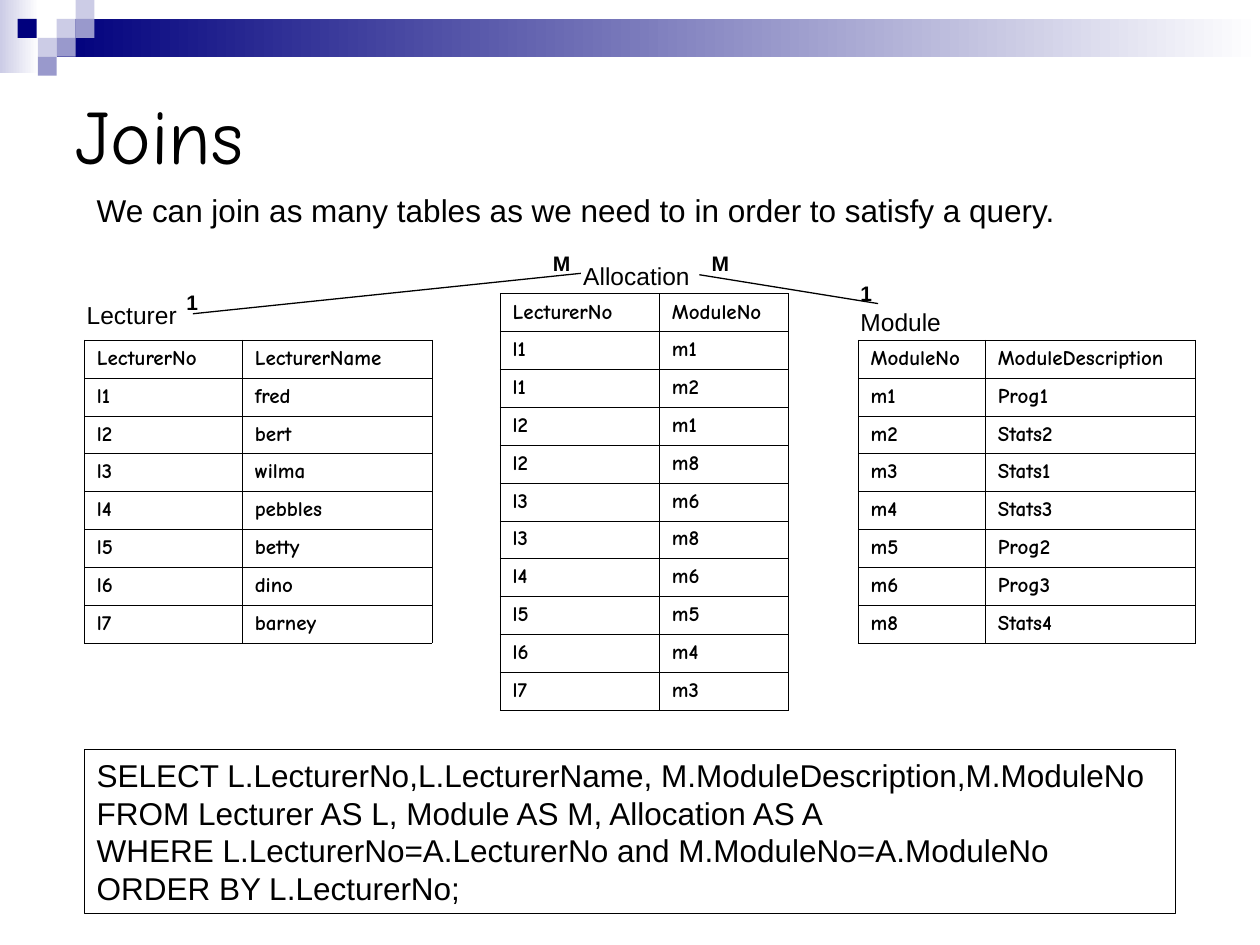
from lxml.etree import SubElement
from pptx import Presentation
from pptx.dml.color import RGBColor
from pptx.enum.shapes import MSO_CONNECTOR, MSO_SHAPE
from pptx.enum.text import MSO_ANCHOR
from pptx.oxml import parse_xml
from pptx.oxml.ns import nsdecls, qn
from pptx.util import Pt

BLACK = RGBColor(0x00, 0x00, 0x00)
WHITE = RGBColor(0xFF, 0xFF, 0xFF)
NAVY = RGBColor(0x00, 0x00, 0x7D)
LAVENDER = RGBColor(0xCC, 0xCC, 0xE6)
PERIWINKLE = RGBColor(0x99, 0x99, 0xCC)


class SlideBuilder:
    body_font = "Arial"
    hand_font = "Comic Neue"
    rule = 0.75
    grid_rule = 0.34
    row_height = 21.6

    def __init__(self, slide):
        self.slide = slide

    def add_lines(self, frame, lines, size, font, bold=False):
        for number, line in enumerate(lines):
            paragraph = frame.paragraphs[0] if number == 0 else frame.add_paragraph()
            run = paragraph.add_run()
            run.text = line
            run.font.size = Pt(size)
            run.font.name = font
            run.font.bold = bold
            run.font.color.rgb = BLACK

    def rectangle(self, left, top, width, height):
        block = self.slide.shapes.add_shape(
            MSO_SHAPE.RECTANGLE, Pt(left), Pt(top), Pt(width), Pt(height))
        block.shadow.inherit = False
        block.line.fill.background()
        return block

    def square(self, left, top, color):
        block = self.rectangle(left, top, 10.8, 10.8)
        block.fill.solid()
        block.fill.fore_color.rgb = color

    def fade(self, left, top, width, height, color):
        block = self.rectangle(left, top, width, height)
        block.fill.gradient()
        block.fill.gradient_angle = 0
        for stop, shade in zip(block.fill.gradient_stops, (color, WHITE)):
            stop.color.rgb = shade

    def text(self, left, top, width, height, line, size, font=body_font,
             bold=False, anchor=MSO_ANCHOR.TOP):
        box = self.slide.shapes.add_textbox(Pt(left), Pt(top), Pt(width), Pt(height))
        box.text_frame.word_wrap = True
        box.text_frame.vertical_anchor = anchor
        self.add_lines(box.text_frame, [line], size, font, bold)

    def query(self, left, top, width, height, lines):
        box = self.slide.shapes.add_textbox(Pt(left), Pt(top), Pt(width), Pt(height))
        box.line.color.rgb = BLACK
        box.line.width = Pt(self.rule)
        box.text_frame.word_wrap = True
        self.add_lines(box.text_frame, lines, 18, self.body_font)

    def line(self, x1, y1, x2, y2):
        link = self.slide.shapes.add_connector(
            MSO_CONNECTOR.STRAIGHT, Pt(x1), Pt(y1), Pt(x2), Pt(y2))
        link.line.color.rgb = BLACK
        link.line.width = Pt(self.rule)
        SubElement(link._element.spPr, qn("a:effectLst"))

    def border(self, cell):
        properties = cell._tc.get_or_add_tcPr()
        for position, side in enumerate(("lnL", "lnR", "lnT", "lnB")):
            properties.insert(position, parse_xml(
                f'<a:{side} {nsdecls("a")} w="{Pt(self.grid_rule)}"><a:solidFill>'
                f'<a:srgbClr val="{BLACK}"/></a:solidFill></a:{side}>'))

    def table(self, left, top, widths, rows):
        grid = self.slide.shapes.add_table(
            len(rows), len(widths), Pt(left), Pt(top),
            Pt(sum(widths)), Pt(self.row_height * len(rows))).table
        grid.first_row = grid.horz_banding = False
        for column, width in zip(grid.columns, widths):
            column.width = Pt(width)
        for r, values in enumerate(rows):
            grid.rows[r].height = Pt(self.row_height)
            for c, value in enumerate(values):
                cell = grid.cell(r, c)
                cell.fill.background()
                cell.vertical_anchor = MSO_ANCHOR.TOP if r else MSO_ANCHOR.MIDDLE
                self.add_lines(cell.text_frame, [value], 12, self.hand_font, True)
                self.border(cell)


LECTURERS = [
    ("LecturerNo", "LecturerName"), ("l1", "fred"), ("l2", "bert"),
    ("l3", "wilma"), ("l4", "pebbles"), ("l5", "betty"), ("l6", "dino"),
    ("l7", "barney"),
]
MODULES = [
    ("ModuleNo", "ModuleDescription"), ("m1", "Prog1"), ("m2", "Stats2"),
    ("m3", "Stats1"), ("m4", "Stats3"), ("m5", "Prog2"), ("m6", "Prog3"),
    ("m8", "Stats4"),
]
ALLOCATIONS = [
    ("LecturerNo", "ModuleNo"), ("l1", "m1"), ("l1", "m2"), ("l2", "m1"),
    ("l2", "m8"), ("l3", "m6"), ("l3", "m8"), ("l4", "m6"), ("l5", "m5"),
    ("l6", "m4"), ("l7", "m3"),
]
QUERY = [
    "SELECT L.LecturerNo,L.LecturerName, M.ModuleDescription,M.ModuleNo",
    "FROM Lecturer AS L, Module AS M, Allocation AS A",
    "WHERE L.LecturerNo=A.LecturerNo and M.ModuleNo=A.ModuleNo",
    "ORDER BY L.LecturerNo;",
]
SQUARES = [
    (32.4, 10.8, LAVENDER), (43.2, 0, LAVENDER), (43.2, 10.8, PERIWINKLE),
    (21.6, 21.6, LAVENDER), (10.1, 10.8, NAVY), (32.4, 21.6, PERIWINKLE),
    (21.6, 32.4, PERIWINKLE),
]
TABLE_NAMES = [
    (42.5, 167.8, "Lecturer"), (326.2, 145.4, "Allocation"), (484.6, 172.1, "Module"),
]
CARDINALITIES = [
    (308.9, 139.7, "M"), (399.6, 139.7, "M"), (484.6, 157, "1"), (99.4, 162, "1"),
]


def main():
    deck = Presentation()
    deck.slide_width, deck.slide_height = Pt(720), Pt(540)
    joins = SlideBuilder(deck.slides.add_slide(deck.slide_layouts[6]))

    joins.fade(0, 0, 22.3, 41.8, LAVENDER)
    joins.fade(32.4, 10.8, 687.6, 21.6, NAVY)
    for left, top, color in SQUARES:
        joins.square(left, top, color)

    joins.text(36, 36, 648, 80.6, "Joins", 44, joins.hand_font,
               anchor=MSO_ANCHOR.MIDDLE)
    joins.query(48.2, 428.4, 623.5, 93.6, QUERY)
    joins.text(48.2, 105.8, 607, 28.8,
               "We can join as many tables as we need to in order to satisfy a query.", 18)

    joins.table(48.2, 194.4, (90.2, 108.5), LECTURERS)
    joins.table(490.3, 194.4, (72.7, 120.2), MODULES)
    joins.table(285.8, 167.8, (91, 73.7), ALLOCATIONS)

    for left, top, name in TABLE_NAMES:
        joins.text(left, top, 96.5, 24.5, name, 14)
    joins.line(110.2, 179.3, 331.9, 156.2)
    joins.line(399.6, 157, 501.8, 173.5)
    for left, top, mark in CARDINALITIES:
        joins.text(left, top, 35.3, 21.6, mark, 12, bold=True)

    deck.save("out.pptx")


if __name__ == "__main__":
    main()
